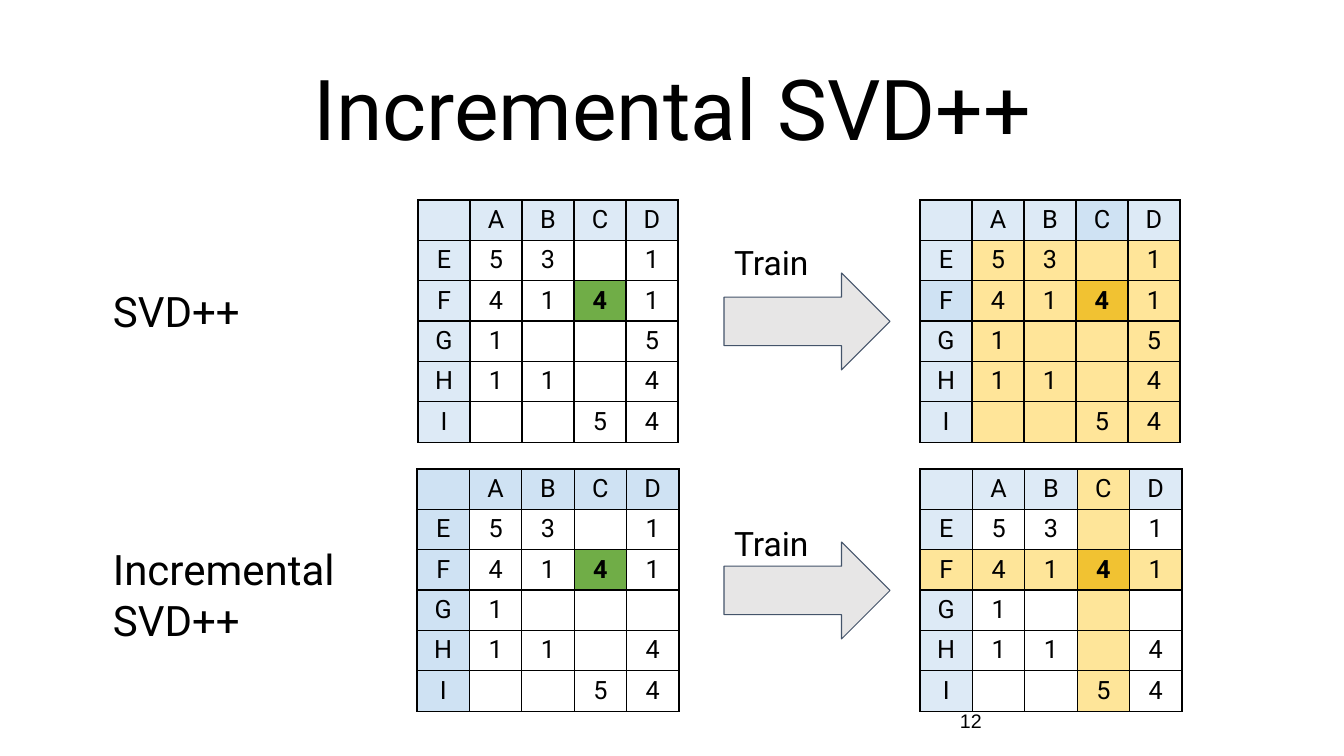
from lxml.etree import SubElement
from pptx import Presentation
from pptx.dml.color import RGBColor
from pptx.enum.shapes import MSO_SHAPE
from pptx.enum.text import MSO_ANCHOR, PP_ALIGN
from pptx.oxml.ns import qn
from pptx.util import Emu, Pt

SCALE = 914400 / 100.8
FONT = "Roboto"
BLACK, WHITE = "000000", "FFFFFF"
PALE, BLUE = "DDEAF6", "CFE2F3"
SAND, CREAM = "FFE599", "FEE599"
GREEN, GOLD = "70AD47", "F1C232"
ROW_H = 40
MARK_ROW, MARK_COL = 2, 3
TOP_RATINGS = [" ABCD", "E53 1", "F4141", "G1  5", "H11 4", "I  54"]
LOW_RATINGS = [*TOP_RATINGS[:3], "G1   ", *TOP_RATINGS[4:]]


def px(n):
    """Turn a pixel length into EMU."""
    return Emu(round(n * SCALE))


def rgb(code):
    """Turn a hex string into a colour."""
    return RGBColor.from_string(code)


def set_attrs(obj, values):
    """Set each named value on an object."""
    for name, value in values.items():
        setattr(obj, name, value)


def add_run(p, text, size, font=FONT, bold=False):
    """Add one formatted run to a paragraph."""
    r = p.add_run()
    r.text = text
    set_attrs(r.font, {"name": font, "size": Pt(size), "bold": bold})
    r.font.color.rgb = rgb(BLACK)


def add_text(s, box, text, size, font=FONT, pad=10, anchor=MSO_ANCHOR.TOP, **para):
    """Place a wrapped text box."""
    tf = s.shapes.add_textbox(*map(px, box)).text_frame
    set_attrs(tf, {"word_wrap": True, "vertical_anchor": anchor,
                   "margin_left": px(10), "margin_right": px(10),
                   "margin_top": px(pad), "margin_bottom": px(pad)})
    p = tf.paragraphs[0]
    set_attrs(p, para)
    add_run(p, text, size, font)


def add_borders(cell):
    """Draw a thin black line on all four sides of a cell."""
    tc_pr = cell._tc.get_or_add_tcPr()
    for side in ("lnL", "lnR", "lnT", "lnB"):
        ln = SubElement(tc_pr, qn(f"a:{side}"), w=str(Pt(1)))
        fill = SubElement(ln, qn("a:solidFill"))
        SubElement(fill, qn("a:srgbClr"), val=BLACK)


def cell_colour(row, col, style):
    """Choose a cell's fill from its place in the matrix."""
    if (row, col) == (MARK_ROW, MARK_COL):
        return style["hit"]
    part = "body" if row and col else "head"
    marked = row == MARK_ROW or col == MARK_COL
    return style.get(f"marked_{part}", style[part]) if marked else style[part]


def add_matrix(s, box, ratings, style):
    """Place a rating matrix coloured by its style."""
    tbl = s.shapes.add_table(len(ratings), len(ratings[0]), *map(px, box)).table
    set_attrs(tbl, {"first_row": False, "horz_banding": False})
    for row, line in enumerate(ratings):
        tbl.rows[row].height = px(ROW_H)
        for col, text in enumerate(line):
            cell = tbl.cell(row, col)
            add_borders(cell)
            cell.fill.solid()
            cell.fill.fore_color.rgb = rgb(cell_colour(row, col, style))
            p = cell.text_frame.paragraphs[0]
            set_attrs(p, {"alignment": PP_ALIGN.CENTER})
            set_attrs(p.font, {"name": FONT, "size": Pt(18)})
            if text.strip():
                add_run(p, text, 18, bold=(row, col) == (MARK_ROW, MARK_COL))


def add_arrow(s, box):
    """Place a grey block arrow."""
    sp = s.shapes.add_shape(MSO_SHAPE.RIGHT_ARROW, *map(px, box))
    sp.shadow.inherit = False
    sp.fill.solid()
    sp.fill.fore_color.rgb = rgb("E7E6E6")
    sp.line.color.rgb = rgb("44546A")
    sp.line.width = Pt(0.75)


def add_method(s, box, name, name_box, train_y, ratings, before, after):
    """Place one method: its name, matrix, training arrow and result."""
    x, y, w, h = box
    nx, ny, nw, nh = name_box
    matrix_w = before["width"]
    add_matrix(s, (x + before["x"], y, matrix_w, h), ratings, before)
    add_matrix(s, (x + w - after["width"], y, after["width"], h), ratings, after)
    add_text(s, (x + nx, y + ny, nw, nh), name, 30)
    add_arrow(s, (x + 621, y + 73, 166, 97))
    add_text(s, (x + 621, y + train_y, 109, 29), "Train", 24)


def main():
    """Build the slide and save it."""
    prs = Presentation()
    set_attrs(prs, {"slide_width": px(1344), "slide_height": px(756)})
    s = prs.slides.add_slide(prs.slide_layouts[6])
    add_text(s, (93, 40, 1159, 146), "Incremental SVD++", 60, pad=5,
             anchor=MSO_ANCHOR.MIDDLE, alignment=PP_ALIGN.CENTER, line_spacing=0.9)
    add_method(s, (103, 200, 1077, 240), "SVD++", (0, 75, 179, 93), 32, TOP_RATINGS,
               {"x": 315, "width": 260, "head": PALE, "body": WHITE, "hit": GREEN},
               {"width": 260, "head": PALE, "body": SAND, "marked_head": BLUE,
                "hit": GOLD})
    add_method(s, (103, 469, 1079, 240), "Incremental SVD++", (0, 65, 260, 93), 44,
               LOW_RATINGS,
               {"x": 314, "width": 262, "head": BLUE, "body": WHITE, "hit": GREEN},
               {"width": 262, "head": PALE, "body": WHITE, "marked_head": CREAM,
                "marked_body": CREAM, "hit": GOLD})
    add_text(s, (950, 701, 302, 40), "12", 14, "Arial", 5, MSO_ANCHOR.MIDDLE)
    prs.save("out.pptx")


if __name__ == "__main__":
    main()
